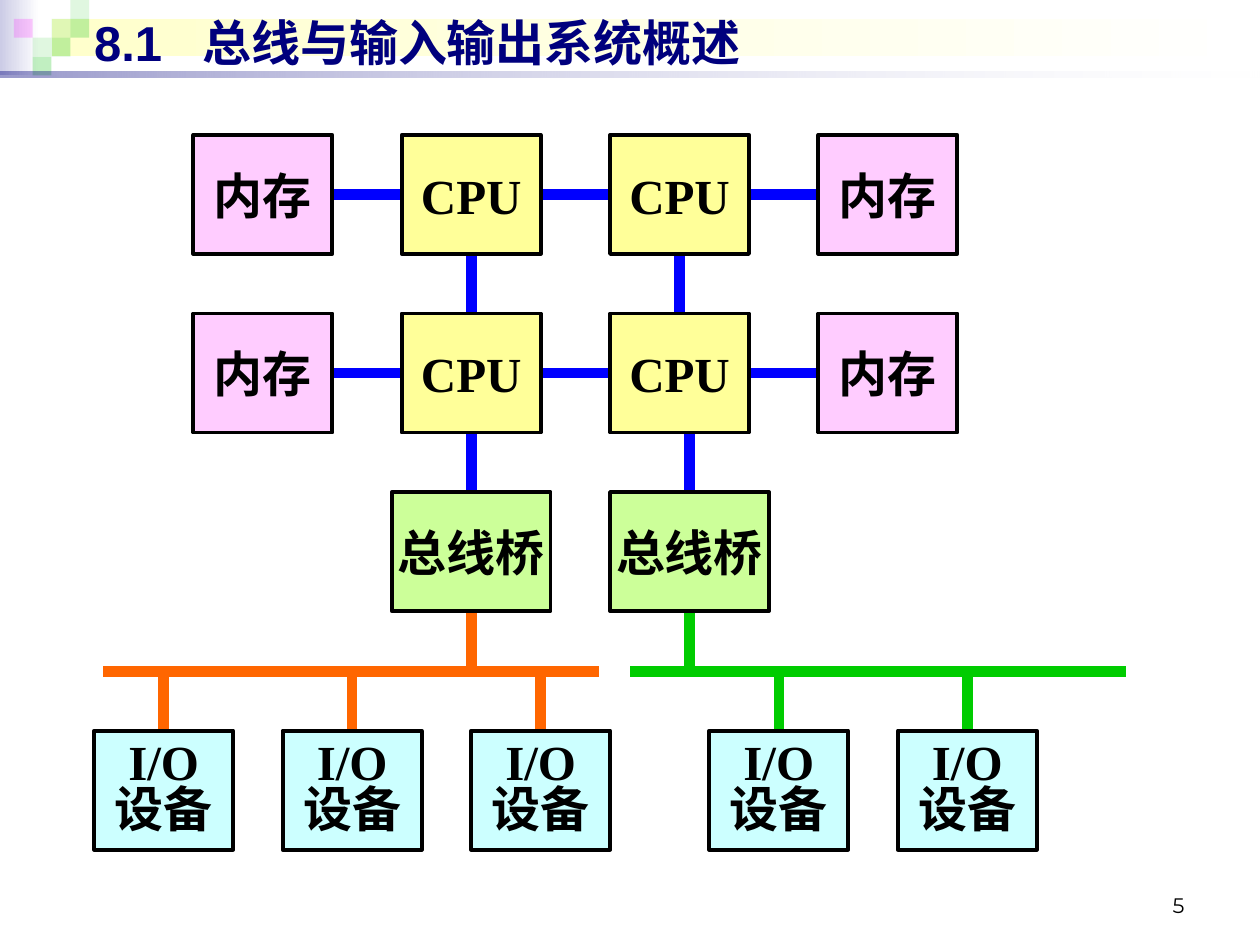
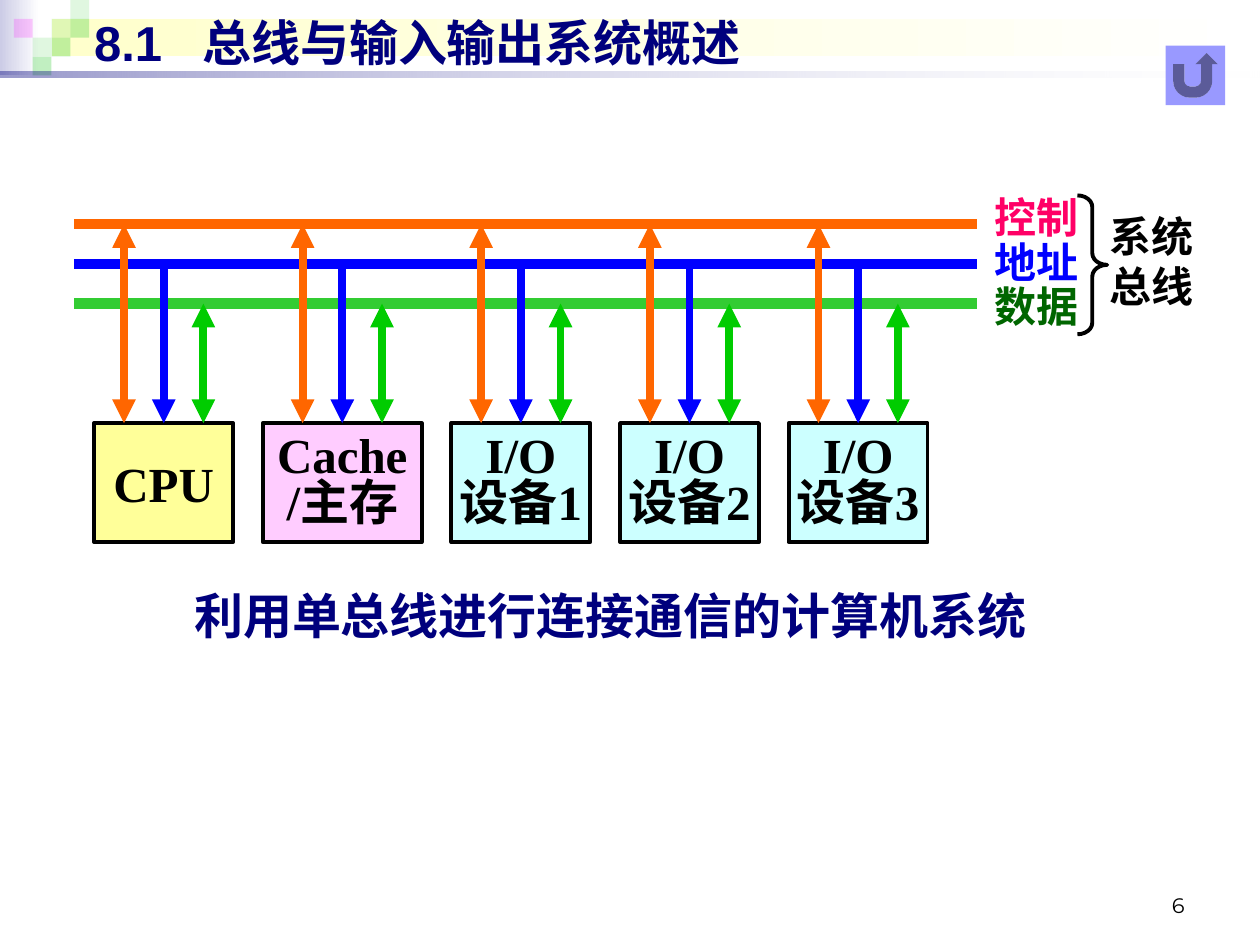
"""Build two slides on bus structures and I/O systems."""
from dataclasses import dataclass
from itertools import pairwise

from lxml.etree import SubElement
from pptx import Presentation
from pptx.dml.color import RGBColor as RGB
from pptx.enum.shapes import MSO_CONNECTOR as LINE, MSO_SHAPE as SHAPE
from pptx.enum.text import MSO_ANCHOR as ANCHOR, PP_ALIGN as ALIGN
from pptx.oxml.ns import qn
from pptx.util import Cm, Pt


@dataclass(frozen=True)
class Theme:
    navy: str = "00007D"
    lavender: str = "CCCCE6"
    cream: str = "FFFFCC"
    white: str = "FFFFFF"
    black: str = "000000"
    green: str = "33CC33"
    magenta: str = "FF00FF"
    blue: str = "0000FF"
    orange: str = "FF6600"
    bright_green: str = "00CC00"
    dark_green: str = "006600"
    rose: str = "FF0066"
    cpu: str = "FFFF99"
    memory: str = "FFCCFF"
    bridge: str = "CCFF99"
    device: str = "CCFFFF"
    button: str = "9999FF"
    title_font: str = "Arial"
    number_font: str = "Montserrat"
    body_font: str = "Times New Roman"
    large: int = 28
    label: int = 24
    small: int = 12
    outline: float = 2.25
    bus: float = 6
    arrow: float = 4.5


T = Theme()
BOX_W, WIDE_W, BOX_H = 2.8, 3.2, 2.4
TILE = 0.38


def put_text(sp, *paragraphs, size=T.large, font=T.body_font, color=T.black,
             bold=True, align=ALIGN.CENTER, anchor=ANCHOR.MIDDLE, wrap=True,
             before=3, spacing=None):
    tf = sp.text_frame
    tf.word_wrap, tf.vertical_anchor = wrap, anchor
    for i, text in enumerate(paragraphs):
        p = tf.add_paragraph() if i else tf.paragraphs[0]
        p.text, p.alignment, p.space_before = text, align, Pt(before)
        if spacing:
            p.line_spacing = spacing
        for r in p.runs:
            r.font.size, r.font.name, r.font.bold = Pt(size), font, bold
            r.font.color.rgb = RGB.from_string(color)
    return tf


def add_label(s, text, x, y, w, h, **fmt):
    sp = s.shapes.add_textbox(Cm(x), Cm(y), Cm(w), Cm(h))
    return put_text(sp, text, **{"anchor": ANCHOR.TOP, **fmt})


def add_figure(s, x, y, w, h, fill=None, line=None, kind=SHAPE.RECTANGLE):
    sp = s.shapes.add_shape(kind, Cm(x), Cm(y), Cm(w), Cm(h))
    sp.shadow.inherit = False
    if fill:
        sp.fill.solid()
        sp.fill.fore_color.rgb = RGB.from_string(fill)
    else:
        sp.fill.background()
    if line:
        sp.line.color.rgb = RGB.from_string(line)
        sp.line.width = Pt(T.outline)
    else:
        sp.line.fill.background()
    return sp


def set_opacity(sp, *percents):
    colors = sp.element.spPr.iter(qn("a:srgbClr"))
    for clr, percent in zip(colors, percents):
        SubElement(clr, qn("a:alpha"), val=str(percent * 1000))


def add_band(s, x, y, w, h, start, opacity=()):
    sp = add_figure(s, x, y, w, h)
    sp.fill.gradient()
    sp.fill.gradient_angle = 0
    for stop, color, position in zip(sp.fill.gradient_stops, (start, T.white), (0, 1)):
        stop.color.rgb = RGB.from_string(color)
        stop.position = position
    set_opacity(sp, *opacity)


def add_box(s, x, y, *paragraphs, fill, w=BOX_W, **fmt):
    sp = add_figure(s, x, y, w, BOX_H, fill, T.black)
    put_text(sp, *paragraphs, wrap=False, **fmt)


def add_device(s, x, y, *paragraphs, fill=T.device, w=BOX_W):
    add_box(s, x, y, *paragraphs, fill=fill, w=w, before=0, spacing=0.8)


def add_line(s, x1, y1, x2, y2, color, width=T.bus, ends=()):
    c = s.shapes.add_connector(LINE.STRAIGHT, Cm(x1), Cm(y1), Cm(x2), Cm(y2))
    c.line.color.rgb = RGB.from_string(color)
    c.line.width = Pt(width)
    ln = c.element.spPr.find(qn("a:ln"))
    for end in ends:
        SubElement(ln, qn(f"a:{end}"), type="triangle")
    SubElement(c.element.spPr, qn("a:effectLst"))


def add_frame(s, number):
    add_band(s, 0, 0, 0.79, 1.52, T.lavender)
    add_band(s, 1.04, TILE, 24.26, 0.76, T.cream)
    tiles = ((2, 1, T.green, 15), (3, 0, T.green, 15), (3, 1, T.green, 30),
             (1, 2, T.green, 15), (0, 1, T.magenta, 20), (2, 2, T.green, 30),
             (1, 3, T.green, 30))
    for col, row, color, opacity in tiles:
        tile = add_figure(s, 0.28 + col * TILE, row * TILE, TILE, TILE, color)
        set_opacity(tile, opacity)
    add_band(s, 0, 1.44, 25.4, 0.13, T.navy, (40, 10))
    add_label(s, str(number), 18.21, 17.35, 5.92, 1.27, size=T.small, bold=False,
              font=T.number_font, align=ALIGN.RIGHT, anchor=ANCHOR.BOTTOM, before=0)
    tf = add_label(s, "8.1\t总线与输入输出系统概述", 1.65, 0.13, 22.86, 1.45,
                   font=T.title_font, color=T.navy, align=ALIGN.LEFT,
                   anchor=ANCHOR.MIDDLE, before=0)
    tabs = SubElement(tf.paragraphs[0]._p.get_or_add_pPr(), qn("a:tabLst"))
    SubElement(tabs, qn("a:tab"), pos=str(Cm(2.18)), algn="l")


def draw_multiprocessor(s):
    columns = [3.9 + 4.2 * i for i in range(4)]
    cpu_rows = (2.72, 6.32)
    bridge_y, bus_y, device_y = 9.92, 13.54, 14.73
    for y in cpu_rows:
        for left, right in pairwise(columns):
            add_line(s, left + BOX_W, y + BOX_H / 2, right, y + BOX_H / 2, T.blue)
    for x in columns[1:3]:
        mid = x + BOX_W / 2
        add_line(s, mid, cpu_rows[0] + BOX_H, mid, cpu_rows[1], T.blue)

    branches = ((7.9, 2.08, T.orange, (1.9, 5.7, 9.5)),
                (12.3, 12.7, T.bright_green, (14.3, 18.1)))
    for bridge_x, bus_x, color, devices in branches:
        mid = bridge_x + WIDE_W / 2
        add_line(s, mid, cpu_rows[1] + BOX_H, mid, bridge_y, T.blue)
        add_line(s, mid, bridge_y + BOX_H, mid, bus_y, color)
        add_line(s, bus_x, bus_y, bus_x + 10, bus_y, color)
        add_box(s, bridge_x, bridge_y, "总线桥", fill=T.bridge, w=WIDE_W)
        for x in devices:
            add_line(s, x + BOX_W / 2, bus_y, x + BOX_W / 2, device_y, color)
            add_device(s, x, device_y, "I/O\n设备")

    for y in cpu_rows:
        for i, x in enumerate(columns):
            name, fill = ("CPU", T.cpu) if i in (1, 2) else ("内存", T.memory)
            add_box(s, x, y, name, fill=fill)


def draw_single_bus(s):
    unit_y, both = 8.53, ("headEnd", "tailEnd")
    buses = ((4.52, T.orange, T.orange, both),
             (5.32, T.blue, T.blue, both[:1]),
             (6.12, T.green, T.bright_green, both))
    for y, color, _, _ in buses:
        add_line(s, 1.5, y, 19.7, y, color)

    add_box(s, 1.9, unit_y, "CPU", fill=T.cpu)
    add_device(s, 5.3, unit_y, "Cache", "/主存", fill=T.memory, w=WIDE_W)
    for i in range(3):
        add_device(s, 9.1 + 3.4 * i, unit_y, f"I/O\n设备{i + 1}")
    for mid in (3.3, 6.9, 10.5, 13.9, 17.3):
        for i, (y, _, color, ends) in enumerate(buses):
            x = mid + 0.8 * (i - 1)
            add_line(s, x, unit_y, x, y, color, T.arrow, ends)

    labels = (("控制", T.rose), ("地址", T.blue), ("数据", T.dark_green))
    for i, (text, color) in enumerate(labels):
        add_label(s, text, 19.5, 3.74 + 0.9 * i, 2.8, 1.27, size=T.label, color=color)
    brace = add_figure(s, 21.72, 3.94, 0.6, 2.8, line=T.black, kind=SHAPE.RIGHT_BRACE)
    brace.adjustments[0] = 0.39
    add_label(s, "系统总线", 21.9, 4.11, 2.41, 2.29, size=T.label, align=ALIGN.RIGHT)
    add_label(s, "利用单总线进行连接通信的计算机系统", 2.7, 11.68, 19.2, 1.45, color=T.navy)
    add_figure(s, 23.5, 0.92, 1.2, 1.2, T.button, kind=SHAPE.ACTION_BUTTON_RETURN)


def main():
    prs = Presentation()
    prs.slide_width, prs.slide_height = Cm(25.4), Cm(19.05)
    for number, draw in enumerate((draw_multiprocessor, draw_single_bus), 5):
        s = prs.slides.add_slide(prs.slide_layouts[6])
        add_frame(s, number)
        draw(s)
    prs.save("out.pptx")


if __name__ == "__main__":
    main()
